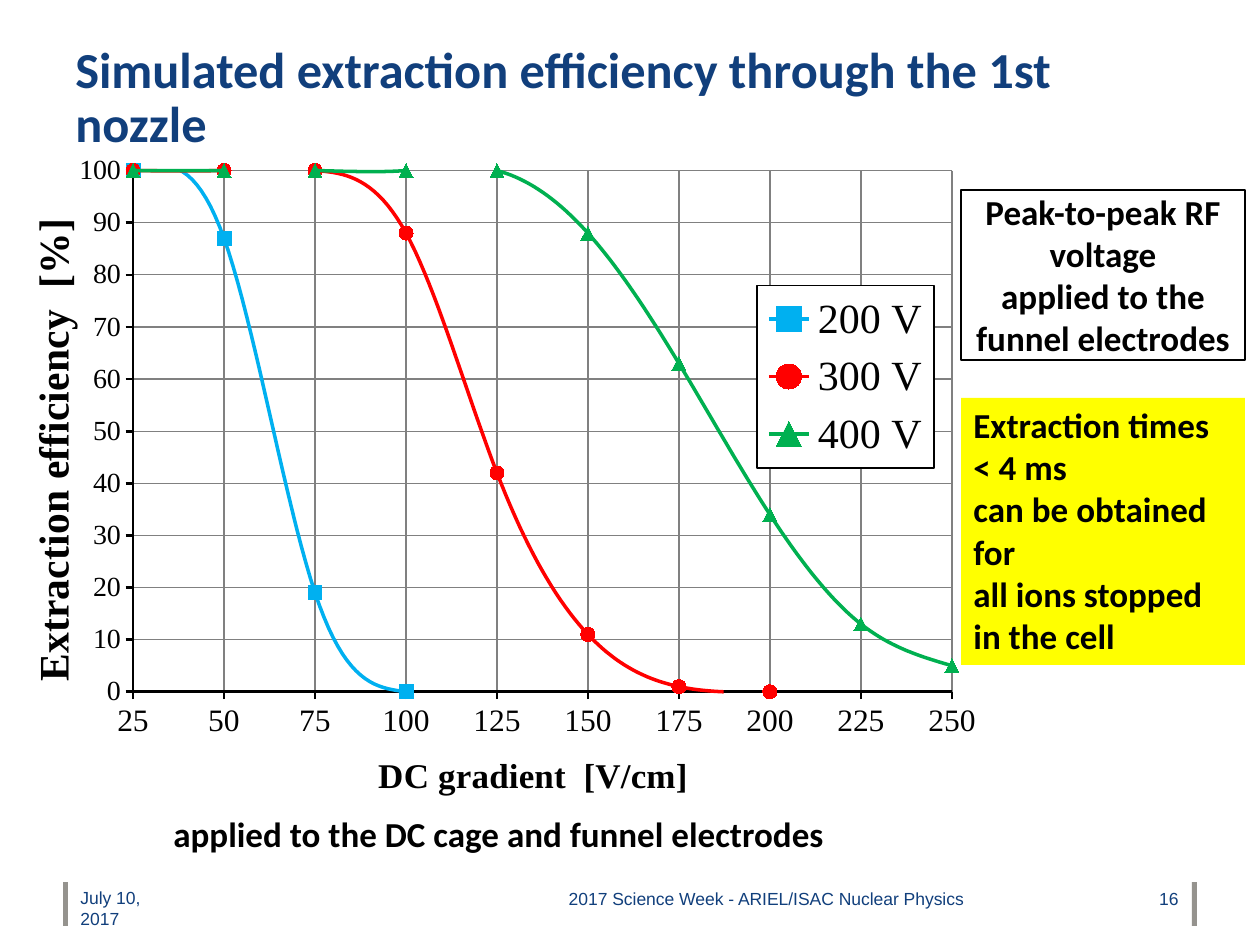
from dataclasses import dataclass

from lxml.etree import SubElement
from pptx import Presentation
from pptx.chart.data import CategoryChartData
from pptx.dml.color import RGBColor
from pptx.enum.chart import XL_CHART_TYPE as ChartType
from pptx.enum.chart import XL_LEGEND_POSITION as LegendPosition
from pptx.enum.chart import XL_MARKER_STYLE as Marker
from pptx.enum.chart import XL_TICK_MARK as TickMark
from pptx.enum.shapes import MSO_SHAPE as Shape
from pptx.enum.text import MSO_ANCHOR as Anchor
from pptx.enum.text import PP_ALIGN as Align
from pptx.oxml import parse_xml
from pptx.oxml.ns import nsdecls, qn
from pptx.util import Emu, Pt

PX = 914400 / 126
BLACK = RGBColor(0x00, 0x00, 0x00)
WHITE = RGBColor(0xFF, 0xFF, 0xFF)
NAVY = RGBColor(0x11, 0x3F, 0x7C)
STONE = RGBColor(0x95, 0x93, 0x8E)
YELLOW = RGBColor(0xFF, 0xFF, 0x00)
GRID = RGBColor(0x80, 0x80, 0x80)
SKY = RGBColor(0x00, 0xB0, 0xF0)
RED = RGBColor(0xFF, 0x00, 0x00)
GREEN = RGBColor(0x00, 0xB0, 0x50)


@dataclass
class Area:
    left: int
    top: int
    width: int
    height: int

    def emu(self) -> list[Emu]:
        return [Emu(round(side * PX)) for side in (self.left, self.top, self.width, self.height)]


@dataclass
class Label:
    area: Area
    lines: list[str]
    size: float = 20
    font: str = "Calibri"
    color: RGBColor = BLACK
    bold: bool = True
    align: Align = Align.LEFT
    anchor: Anchor = Anchor.TOP
    line_spacing: float | None = None
    wrap: bool = True
    inset: int = 6
    fill: RGBColor | None = None
    outline: RGBColor | None = None


@dataclass
class Curve:
    name: str
    values: list[int]
    color: RGBColor
    marker: Marker


def footer(area: Area, text: str, align: Align = Align.RIGHT) -> Label:
    return Label(area, [text], 10, "Arial", NAVY, False, align)


CHART = Area(0, 149, 984, 658)
PLOT = Area(133, 171, 819, 528)
LEGEND = Area(757, 287, 177, 185)
FOOTER_BARS = [Area(left, 882, 5, 44) for left in (63, 1192)]
LABELS = [
    Label(Area(63, 84, 1134, 83), ["Simulated extraction efficiency through the 1st nozzle\v"],
          28.8, color=NAVY, anchor=Anchor.MIDDLE, line_spacing=30.4),
    footer(Area(68, 881, 110, 65), "July 10, 2017", Align.LEFT),
    footer(Area(331, 882, 645, 65), "2017 Science Week - ARIEL/ISAC Nuclear Physics"),
    footer(Area(993, 882, 198, 65), "16"),
    Label(Area(961, 190, 284, 170),
          ["Peak-to-peak RF voltage", "applied to the funnel electrodes"],
          align=Align.CENTER, inset=0, outline=BLACK),
    Label(Area(161, 806, 682, 55), ["applied to the DC cage and funnel electrodes"], wrap=False),
    Label(Area(961, 398, 284, 267),
          ["Extraction times < 4 ms", "can be obtained for", "all ions stopped in the cell"],
          fill=YELLOW),
]
GRADIENTS = [str(gradient) for gradient in range(25, 251, 25)]
CURVES = [
    Curve("200 V", [100, 87, 19, 0], SKY, Marker.SQUARE),
    Curve("300 V", [100, 100, 100, 88, 42, 11, 1, 0], RED, Marker.CIRCLE),
    Curve("400 V", [100, 100, 100, 100, 100, 88, 63, 34, 13, 5], GREEN, Marker.TRIANGLE),
]


def draw_bar(page, area: Area) -> None:
    bar = page.shapes.add_shape(Shape.RECTANGLE, *area.emu())
    bar.shadow.inherit = False
    bar.fill.solid()
    bar.fill.fore_color.rgb = STONE
    bar.line.fill.background()


def draw_label(page, label: Label) -> None:
    box = page.shapes.add_textbox(*label.area.emu())
    if label.fill is not None:
        box.fill.solid()
        box.fill.fore_color.rgb = label.fill
    if label.outline is not None:
        box.line.color.rgb = label.outline
        box.line.width = Pt(0.75)
    frame = box.text_frame
    frame.word_wrap = label.wrap
    frame.vertical_anchor = label.anchor
    frame.margin_top = frame.margin_bottom = Emu(round(label.inset * PX))
    frame.text = "\n".join(label.lines)
    for para in frame.paragraphs:
        para.alignment = label.align
        if label.line_spacing:
            para.line_spacing = Pt(label.line_spacing)
        para.font.name = label.font
        para.font.size = Pt(label.size)
        para.font.bold = label.bold
        para.font.color.rgb = label.color


def make_layout(area: Area, sized: bool = True):
    """Manual chart layout for an area given in slide pixels."""
    layout = parse_xml(f"<c:layout {nsdecls('c')}><c:manualLayout/></c:layout>")
    settings = {"xMode": "edge", "yMode": "edge",
                "x": (area.left - CHART.left) / CHART.width,
                "y": (area.top - CHART.top) / CHART.height}
    if sized:
        settings |= {"w": area.width / CHART.width, "h": area.height / CHART.height}
    for tag, value in settings.items():
        text = value if isinstance(value, str) else f"{value:.4f}"
        SubElement(layout[0], qn(f"c:{tag}")).set("val", text)
    return layout


def drop(parent, tag: str) -> None:
    for child in parent.findall(qn(tag)):
        parent.remove(child)


def style_axis(axis, title: str, title_size: int, tick_size: int, title_area: Area) -> None:
    axis.has_major_gridlines = True
    axis.major_gridlines.format.line.color.rgb = GRID
    axis.major_gridlines.format.line.width = Pt(0.75)
    axis.major_tick_mark = TickMark.OUTSIDE
    axis.minor_tick_mark = TickMark.NONE
    axis.format.line.color.rgb = BLACK
    axis.format.line.width = Pt(1.5)
    axis.tick_labels.font.size = Pt(tick_size)
    frame = axis.axis_title.text_frame
    frame.text = title
    font = frame.paragraphs[0].font
    font.name, font.size, font.bold = "Times New Roman", Pt(title_size), True
    font.color.rgb = BLACK
    element = axis.axis_title._element
    drop(element, "c:layout")
    element.find(qn("c:tx")).addnext(make_layout(title_area, sized=False))


def style_legend(chart) -> None:
    chart.has_legend = True
    legend = chart.legend
    legend.position = LegendPosition.RIGHT
    legend.include_in_layout = False
    legend.font.size = Pt(24)
    element = legend._element
    drop(element, "c:layout")
    element.find(qn("c:legendPos")).addnext(make_layout(LEGEND))
    element.find(qn("c:txPr")).addprevious(parse_xml(
        f'<c:spPr {nsdecls("c", "a")}><a:solidFill><a:srgbClr val="{WHITE}"/></a:solidFill>'
        f'<a:ln w="9525"><a:solidFill><a:srgbClr val="{BLACK}"/></a:solidFill></a:ln></c:spPr>'))


def draw_chart(page) -> None:
    data = CategoryChartData()
    data.categories = GRADIENTS
    for curve in CURVES:
        gaps = [None] * (len(GRADIENTS) - len(curve.values))
        data.add_series(curve.name, curve.values + gaps)
    chart = page.shapes.add_chart(ChartType.LINE_MARKERS, *CHART.emu(), data).chart
    chart.has_title = False
    chart.font.name, chart.font.size = "Times New Roman", Pt(10)
    chart.font.color.rgb = BLACK
    chart.plots[0].vary_by_categories = False
    for series, curve in zip(chart.plots[0].series, CURVES):
        series.smooth = True
        series.format.line.color.rgb = curve.color
        series.format.line.width = Pt(2)
        series.marker.style, series.marker.size = curve.marker, 8
        series.marker.format.fill.solid()
        series.marker.format.fill.fore_color.rgb = curve.color
        series.marker.format.line.fill.background()

    style_axis(chart.category_axis, "DC gradient  [V/cm]", 20, 18, Area(372, 755, 310, 42))
    style_axis(chart.value_axis, "Extraction efficiency  [%]", 24, 16, Area(18, 218, 42, 464))
    value_element = chart.value_axis._element
    drop(value_element, "c:crossBetween")
    value_element.find(qn("c:crosses")).addnext(
        parse_xml(f'<c:crossBetween {nsdecls("c")} val="midCat"/>'))
    chart.value_axis.minimum_scale, chart.value_axis.maximum_scale = 0, 100
    chart.value_axis.major_unit = 10
    style_legend(chart)

    plot_area = chart._chartSpace.chart.plotArea
    drop(plot_area, "c:layout")
    layout = make_layout(PLOT)
    target = parse_xml(f'<c:layoutTarget {nsdecls("c")} val="inner"/>')
    layout[0].insert(0, target)
    plot_area.insert(0, layout)


def main() -> None:
    deck = Presentation()
    deck.slide_width, deck.slide_height = Emu(round(1260 * PX)), Emu(round(945 * PX))
    page = deck.slides.add_slide(deck.slide_layouts[6])
    for area in FOOTER_BARS:
        draw_bar(page, area)
    for label in LABELS:
        draw_label(page, label)
    draw_chart(page)
    deck.save("out.pptx")


if __name__ == "__main__":
    main()
